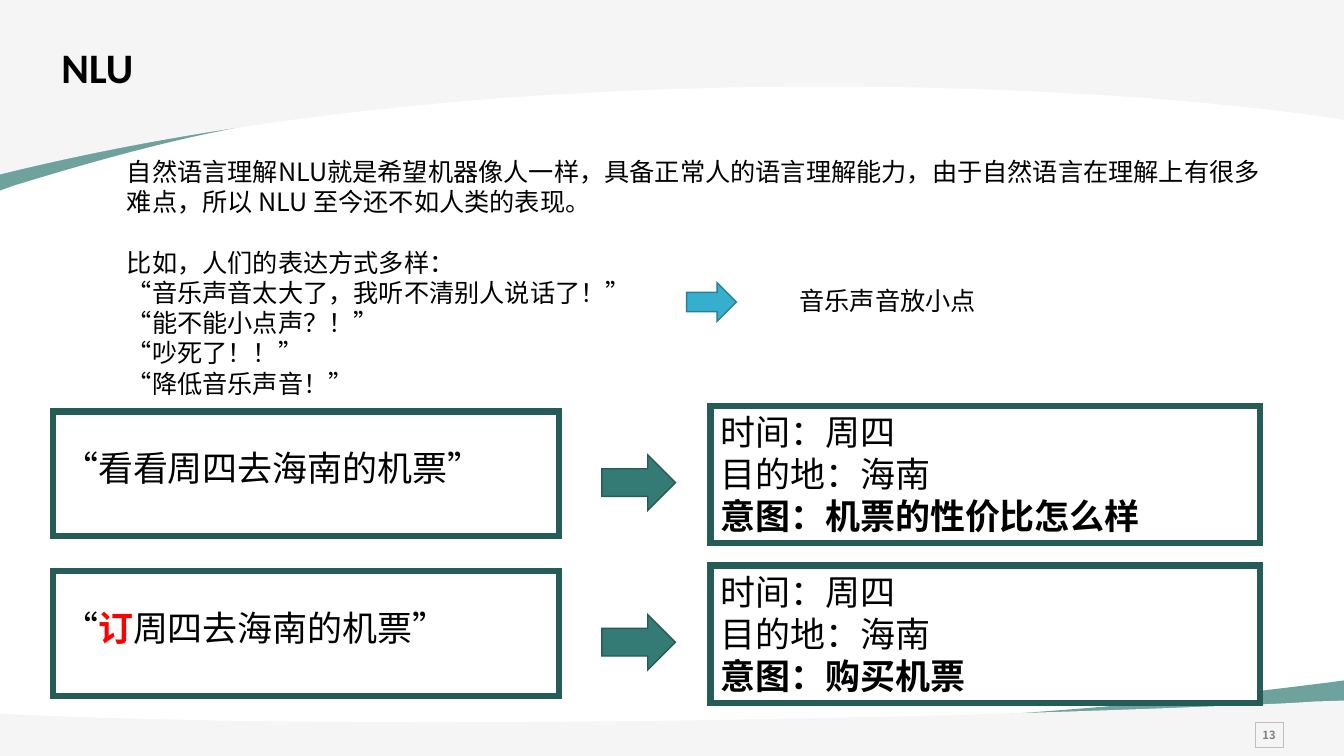
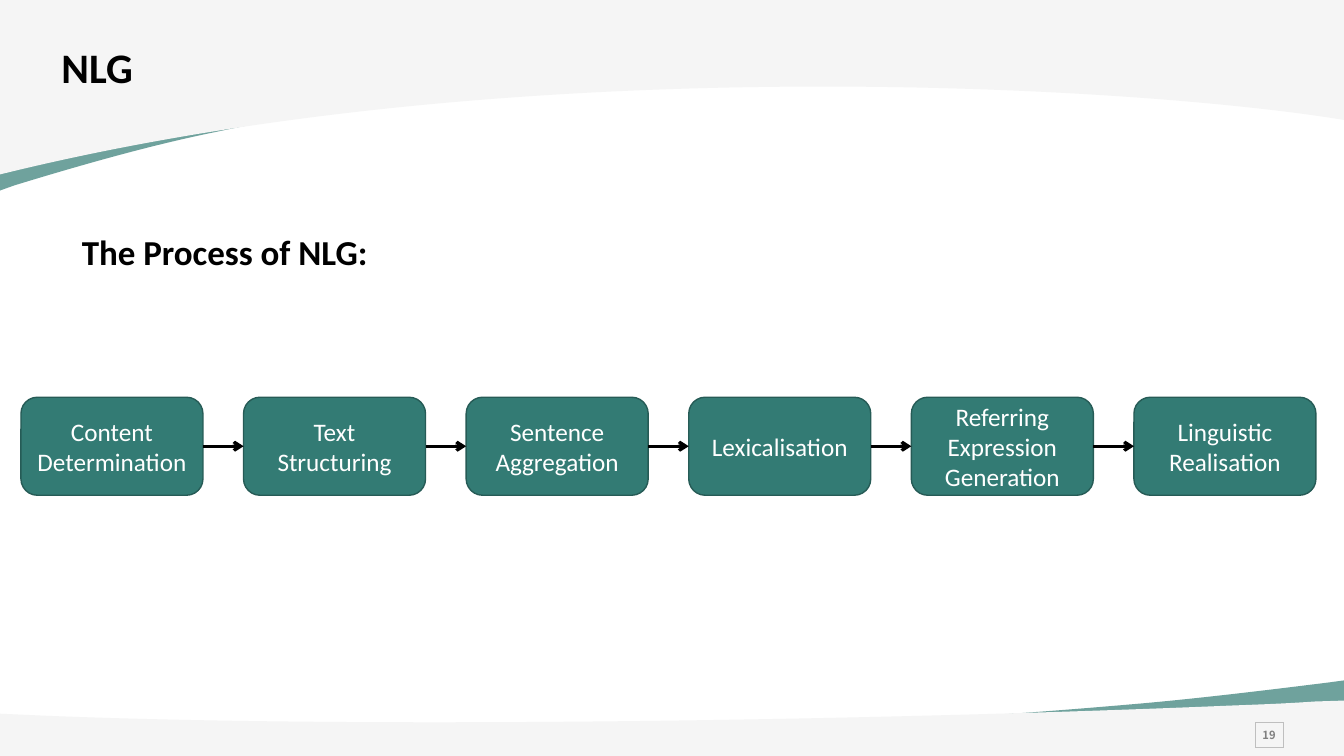
"""Build two slides on natural language understanding and generation."""
from dataclasses import dataclass

from lxml import etree
from pptx import Presentation
from pptx.dml.color import RGBColor
from pptx.enum import shapes, text
from pptx.oxml import ns
from pptx.util import Pt


@dataclass(frozen=True)
class Theme:
    """Colours, fonts and type sizes shared by the slides."""
    black: str = "000000"
    white: str = "FFFFFF"
    band: str = "F5F5F5"
    teal: str = "337B74"
    teal_edge: str = "265B56"
    frame: str = "265C57"
    blue: str = "36AFCE"
    blue_edge: str = "288198"
    red: str = "FF0000"
    number: str = "808080"
    number_edge: str = "BFBFBF"
    latin: str = "Calibri"
    chinese: str = "Noto Sans CJK SC"
    title_size: float = 30
    large_size: float = 25
    body_size: float = 18
    number_size: float = 8


THEME = Theme()
WIDTH, HEIGHT = 960, 540

SWOOSHES = [
    (THEME.teal, 70, [(0, 136.1), (0, 16), (960, 16), (960, 65.5),
                      (743, 4.3, 370, 48.2, 154, 94.3),
                      (110.9, 103, 61.9, 116.6, 10.1, 132.5)]),
    (THEME.band, 100, [(0, 0), (960, 0), (960, 85.7),
                       (820.8, 62.6, 372.2, 32.4, 0, 124.6)]),
    (THEME.teal, 70, [(960, 486), (960, 535.7), (0, 535.7), (0, 514.8),
                      (216.7, 540, 590.4, 522, 805.7, 503.3),
                      (848.9, 499.7, 897.8, 493.9, 949.7, 487.4)]),
    (THEME.band, 100, [(960, 500.4), (960, 540), (0, 540), (0, 509.8), (31.7, 511.2),
                       (282.2, 521.3, 655.2, 513.4, 878.4, 504),
                       (897.1, 503.3, 918, 502.6, 938.9, 501.1)]),
]


def rgb(value):
    """Return the colour for a hex value."""
    return RGBColor.from_string(value)


def paint(shape, fill=None, edge=None, weight=1):
    """Set the fill and line of a shape and drop its shadow."""
    shape.shadow.inherit = False
    if fill:
        shape.fill.solid()
        shape.fill.fore_color.rgb = rgb(fill)
    else:
        shape.fill.background()
    if edge:
        shape.line.color.rgb = rgb(edge)
        shape.line.width = Pt(weight)
        etree.SubElement(shape.line._get_or_add_ln(), ns.qn("a:miter"), lim="800000")
    else:
        shape.line.fill.background()


def style_run(run, size, color=THEME.black, bold=False, font=THEME.latin):
    """Format a run, with the Chinese font for East Asian letters."""
    run.font.size = Pt(size)
    run.font.bold = bold
    run.font.name = font
    run.font.color.rgb = rgb(color)
    east_asian = etree.Element(ns.qn("a:ea"), typeface=THEME.chinese)
    run.font._element.find(ns.qn("a:latin")).addnext(east_asian)


def write(shape, content, size, align=text.PP_ALIGN.LEFT,
          anchor=text.MSO_ANCHOR.TOP, spacing=None, **look):
    """Put lines of text in a shape and format them."""
    frame = shape.text_frame
    frame.text = content
    frame.word_wrap = True
    frame.vertical_anchor = anchor
    for paragraph in frame.paragraphs:
        paragraph.alignment = align
        if spacing:
            paragraph.line_spacing = spacing
        for run in paragraph.runs:
            style_run(run, size, **look)
    return frame


def add_block(slide, kind, left, top, width, height, **look):
    """Add a painted preset shape."""
    block = slide.shapes.add_shape(kind, Pt(left), Pt(top), Pt(width), Pt(height))
    paint(block, **look)
    return block


def add_label(slide, content, left, top, width, height, size, **look):
    """Add a text box and return its frame."""
    label = slide.shapes.add_textbox(Pt(left), Pt(top), Pt(width), Pt(height))
    return write(label, content, size, **look)


def bend(shape, outline):
    """Turn the six-number parts of an outline into cubic curves."""
    lines = list(shape._element.iter(ns.qn("a:lnTo")))
    for line, part in zip(lines, outline[1:]):
        if len(part) == 6:
            curve = etree.Element(ns.qn("a:cubicBezTo"))
            for x, y in zip(part[::2], part[1::2]):
                etree.SubElement(curve, ns.qn("a:pt"), x=str(Pt(x) - shape.left),
                                 y=str(Pt(y) - shape.top))
            line.getparent().replace(line, curve)


def add_swoosh(slide, color, opacity, outline):
    """Draw a curved band at the top or bottom of a slide."""
    start, *rest = [(Pt(part[-2]), Pt(part[-1])) for part in outline]
    builder = slide.shapes.build_freeform(*start)
    builder.add_line_segments(rest, close=True)
    swoosh = builder.convert_to_shape()
    bend(swoosh, outline)
    paint(swoosh, color)
    if opacity < 100:
        tint = swoosh._element.spPr.find(ns.qn("a:solidFill"))[0]
        etree.SubElement(tint, ns.qn("a:alpha"), val=str(opacity * 1000))


def add_page(deck, title, number):
    """Add a slide with its bands, page number and title."""
    slide = deck.slides.add_slide(deck.slide_layouts[6])
    for swoosh in SWOOSHES:
        add_swoosh(slide, *swoosh)
    badge = add_block(slide, shapes.MSO_SHAPE.RECTANGLE, 896.5, 516, 20, 18,
                      edge=THEME.number_edge, weight=0.75)
    frame = write(badge, number, THEME.number_size, text.PP_ALIGN.CENTER,
                  text.MSO_ANCHOR.MIDDLE, color=THEME.number, bold=True,
                  font=THEME.chinese)
    frame.word_wrap = False
    frame.margin_left = frame.margin_right = Pt(5.8)
    heading = add_label(slide, title, 38, 28, 864, 42, THEME.title_size,
                        spacing=0.9, bold=True)
    heading.margin_left = heading.margin_top = Pt(5.8)
    heading.paragraphs[0].runs[0].font._element.set("spc", "10")
    return slide


def add_arrow(slide, left, top, width, height, fill, edge):
    """Add a block arrow pointing right."""
    add_block(slide, shapes.MSO_SHAPE.RIGHT_ARROW, left, top, width, height,
              fill=fill, edge=edge)


def add_framed(slide, content, left, top, width, height):
    """Add a white box with a heavy frame and return its text frame."""
    box = add_block(slide, shapes.MSO_SHAPE.RECTANGLE, left, top, width, height,
                    fill=THEME.white, edge=THEME.frame, weight=4.5)
    return write(box, content, THEME.large_size)


def add_request(slide, top, before, keyword, after):
    """Add a quoted request with its keyword in red."""
    frame = add_framed(slide, before, 38, top, 361.5, 89)
    frame.margin_top = Pt(25)
    for part, color in ((keyword, THEME.red), (after, THEME.black)):
        if part:
            run = frame.paragraphs[0].add_run()
            run.text = part
            style_run(run, THEME.large_size, color, bold=part == keyword)


def add_meaning(slide, top, content):
    """Add the parsed meaning with its intent in bold."""
    frame = add_framed(slide, content, 507.5, top, 392.5, 98)
    frame.paragraphs[-1].runs[0].font.bold = True


def add_link(slide, source, target):
    """Join two steps with an arrow."""
    link = slide.shapes.add_connector(shapes.MSO_CONNECTOR.STRAIGHT, 0, 0, 0, 0)
    link.begin_connect(source, 3)
    link.end_connect(target, 1)
    link.line.color.rgb = rgb(THEME.black)
    link.line.width = Pt(2.25)
    etree.SubElement(link.line._get_or_add_ln(), ns.qn("a:tailEnd"), type="arrow")
    etree.SubElement(link._element.spPr, ns.qn("a:effectLst"))


def build_understanding(deck):
    """Build the slide on language understanding."""
    slide = add_page(deck, "NLU", "13")
    intro = add_label(
        slide,
        "自然语言理解NLU就是希望机器像人⼀样，具备正常人的语言理解能力，"
        "由于自然语言在理解上有很多难点，所以 NLU 至今还不如人类的表现。\n"
        "比如，人们的表达方式多样：\n"
        "“音乐声音太大了，我听不清别人说话了！”\n"
        "“能不能小点声？！”\n"
        "“吵死了！！”\n"
        "“降低音乐声音！”",
        83.5, 108, 826, 181.5, THEME.body_size, font=THEME.chinese)
    intro.paragraphs[1].space_before = Pt(21.6)

    examples = [
        (("“看看周四去海南的机票”", "", ""), "机票的性价比怎么样"),
        (("“", "订", "周四去海南的机票”"), "购买机票"),
    ]
    for row, (request, intent) in enumerate(examples):
        top = 290 + row * 114
        add_meaning(slide, top, f"时间：周四\n目的地：海南\n意图：{intent}")
        add_request(slide, top + 4, *request)
        add_arrow(slide, 430, top + 35, 52.5, 39.5, THEME.teal, THEME.teal_edge)

    add_arrow(slide, 490.5, 202, 35.5, 27.5, THEME.blue, THEME.blue_edge)
    add_label(slide, "音乐声音放小点", 564, 200, 150, 29, THEME.body_size,
              font=THEME.chinese)


def build_generation(deck):
    """Build the slide on the language generation process."""
    slide = add_page(deck, "NLG", "19")
    add_label(slide, "The Process of NLG:", 51.4, 146, 764.5, 52.5,
              THEME.large_size, spacing=1.5, bold=True)
    stages = ["Content Determination", "Text\nStructuring", "Sentence Aggregation",
              "Lexicalisation", "Referring Expression Generation",
              "Linguistic Realisation"]
    steps = []
    for column, stage in enumerate(stages):
        step = add_block(slide, shapes.MSO_SHAPE.ROUNDED_RECTANGLE,
                         15 + column * 159, 283.75, 130, 70,
                         fill=THEME.teal, edge=THEME.teal_edge)
        write(step, stage, THEME.body_size, text.PP_ALIGN.CENTER,
              text.MSO_ANCHOR.MIDDLE, color=THEME.white)
        steps.append(step)
    for source, target in zip(steps, steps[1:]):
        add_link(slide, source, target)


def main():
    """Build and save the deck."""
    deck = Presentation()
    deck.slide_width, deck.slide_height = Pt(WIDTH), Pt(HEIGHT)
    build_understanding(deck)
    build_generation(deck)
    deck.save("out.pptx")


if __name__ == "__main__":
    main()
